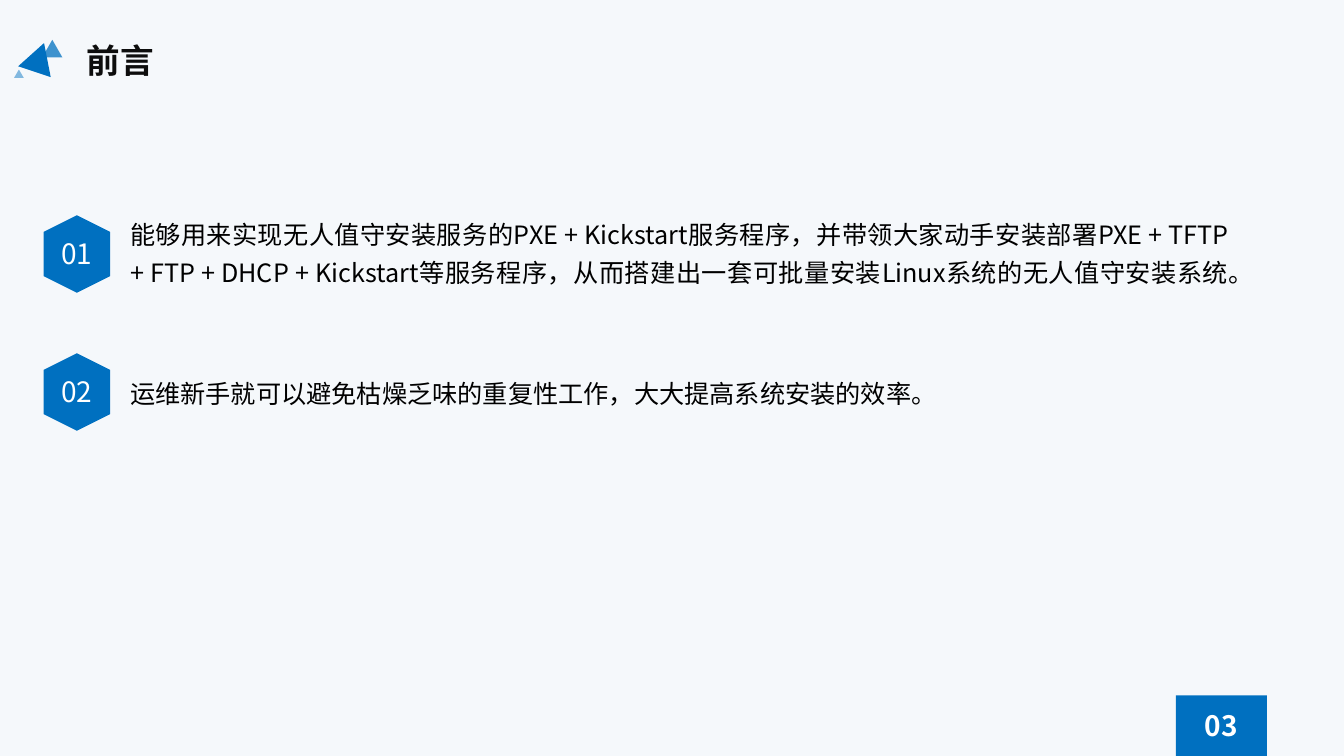
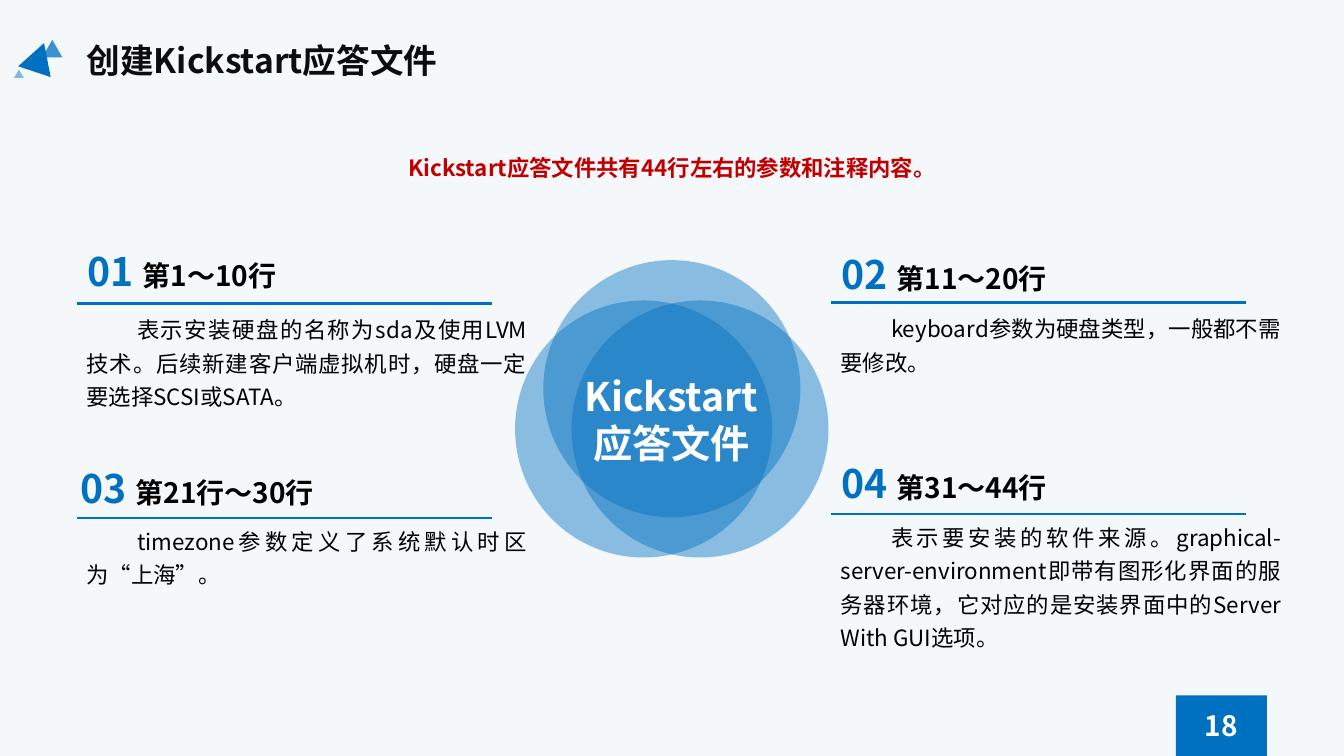
from dataclasses import dataclass

from lxml.etree import SubElement
from pptx import Presentation
from pptx.dml.color import RGBColor
from pptx.enum.shapes import MSO_CONNECTOR, MSO_SHAPE
from pptx.enum.text import MSO_ANCHOR, MSO_AUTO_SIZE, PP_ALIGN
from pptx.oxml.ns import qn
from pptx.util import Pt


@dataclass(frozen=True)
class Theme:
    font: str = "Noto Sans CJK SC"
    back: str = "F5F8FB"
    blue: str = "0070C0"
    ink: str = "0D0D0D"
    black: str = "000000"
    white: str = "FFFFFF"
    red: str = "C00000"
    title: int = 24
    large: int = 28
    label: int = 20
    list: int = 18
    text: int = 16


look = Theme()


def draw(slide, kind, at, alpha=100, turn=0):
    """Add a blue shape; alpha is its opacity in percent."""
    shape = slide.shapes.add_shape(kind, *map(Pt, at))
    shape.shadow.inherit = False
    shape.rotation = turn
    shape.fill.solid()
    shape.fill.fore_color.rgb = RGBColor.from_string(look.blue)
    shape.line.fill.background()
    if alpha < 100:
        tint = shape.element.spPr.find(".//" + qn("a:srgbClr"))
        SubElement(tint, qn("a:alpha"), val=str(alpha * 1000))
    return shape


def write(slide, at, *runs, box=None, size=look.text, color=look.black, bold=False,
          align=PP_ALIGN.LEFT, anchor=MSO_ANCHOR.TOP, lines=1.0, indent=0):
    """Fill box, or a new text box; a run is a text or (text, size, color)."""
    if box is None:
        box = slide.shapes.add_textbox(*map(Pt, at))
    box.left, box.top, box.width, box.height = map(Pt, at)
    frame = box.text_frame
    frame.word_wrap = True
    frame.auto_size = MSO_AUTO_SIZE.NONE
    frame.vertical_anchor = anchor
    para = frame.paragraphs[0]
    props = para._p.get_or_add_pPr()
    props.set("marL", "0")
    props.set("indent", str(Pt(indent)))
    SubElement(props, qn("a:buNone"))
    para.alignment = align
    para.line_spacing = lines
    para.space_before = Pt(0)
    for item in runs:
        words, points, tone = (item, size, color) if isinstance(item, str) else item
        run = para.add_run()
        run.text = words
        run.font.size = Pt(points)
        run.font.bold = bold
        run.font.color.rgb = RGBColor.from_string(tone)
        run.font.name = look.font
        SubElement(run._r.get_or_add_rPr(), qn("a:ea"), typeface=look.font)


deck = Presentation()
deck.slide_width, deck.slide_height = Pt(960), Pt(540)
fill = deck.slide_master.background.fill
fill.solid()
fill.fore_color.rgb = RGBColor.from_string(look.back)

# Shared frame: title, corner triangles and page badge
pages = [("Two Content", "前言", "03"),
         ("Comparison", "创建Kickstart应答文件", "18")]
marks = [((30.2, 28.4, 14.4, 12.6), 75, 0),
         ((15.8, 30.2, 24.5, 21.6), 100, 18.5),
         ((10, 49.7, 7, 6), 47, 0)]
badge = (840, 496.8, 65, 43.2)
slides = []
for layout, title, number in pages:
    slide = deck.slides.add_slide(deck.slide_layouts.get_by_name(layout))
    write(slide, (54.7, 25.2, 401, 36), title, box=slide.shapes.title,
          size=look.title, color=look.ink, bold=True)
    for at, alpha, turn in marks:
        draw(slide, MSO_SHAPE.ISOSCELES_TRIANGLE, at, alpha, turn)
    write(slide, badge, number, box=draw(slide, MSO_SHAPE.RECTANGLE, badge),
          size=look.label, color=look.white, bold=True,
          align=PP_ALIGN.CENTER, anchor=MSO_ANCHOR.MIDDLE)
    slides.append(slide)
intro, answer = slides

# Preface: numbered points
points = [
    (157.7, 147.6, 86.4, "能够用来实现无人值守安装服务的PXE + Kickstart服务程序，并带领大家动手安装部署"
     "PXE + TFTP + FTP + DHCP + Kickstart等服务程序，从而搭建出一套可批量安装Linux系统的"
     "无人值守安装系统。"),
    (256.3, 261.4, 32.4, "运维新手就可以避免枯燥乏味的重复性工作，大大提高系统安装的效率。"),
]
for rank, (top, y, high, words) in enumerate(points, 1):
    draw(intro, MSO_SHAPE.HEXAGON, (27.2, top, 55.4, 47.5), turn=90)
    write(intro, (32.5, top + 7.9, 44.6, 31.7), f"{rank:02}",
          size=look.label, color=look.white, align=PP_ALIGN.CENTER)
    write(intro, (85.7, y, 799.2, high), words, box=intro.placeholders[rank],
          size=look.list, align=PP_ALIGN.JUSTIFY, lines=1.25)

# Answer file: four blocks around the circles
left, right = 54.7, 593.3
blocks = [
    (left, 55.4, 172.8, 216.7, 217.4, 78, "第1～10行",
     "表示安装硬盘的名称为sda及使用LVM技术。后续新建客户端虚拟机时，硬盘一定要选择SCSI或SATA。"),
    (right, 594, 175, 216, 216.7, 53.3, "第11～20行",
     "keyboard参数为硬盘类型，一般都不需要修改。"),
    (left, 50.4, 328.3, 370, 368.6, 53.3, "第21行～30行",
     "timezone参数定义了系统默认时区为“上海”。"),
    (right, 594, 324.7, 367.2, 365.8, 102.2, "第31～44行",
     "表示要安装的软件来源。graphical-server-environment即带有图形化界面的服务器环境，"
     "它对应的是安装界面中的Server With GUI选项。"),
]
for rank, (x, start, top, rule, y, high, head, words) in enumerate(blocks, 1):
    line = answer.shapes.add_connector(
        MSO_CONNECTOR.STRAIGHT, *map(Pt, (x, rule, x + 296.6, rule)))
    line.line.width = Pt(1.75)
    line.line.color.rgb = RGBColor.from_string(look.blue)
    SubElement(line.element.spPr, qn("a:effectLst"))
    write(answer, (start, top, 236.2, 41), (f"{rank:02} ", look.large, look.blue), head,
          size=look.label, bold=True)
    write(answer, (x, y, 329, high), words, box=answer.placeholders[rank],
          align=PP_ALIGN.JUSTIFY, lines=1.25, indent=36)

for x, y in [(408.2, 214.6), (388.1, 185.8), (367.9, 214.6)]:
    draw(answer, MSO_SHAPE.OVAL, (x, y, 183.6, 183.6), alpha=44)
write(answer, (408.2, 262.1, 142.6, 74.9), "Kickstart应答文件",
      size=look.large, color=look.white, bold=True, align=PP_ALIGN.CENTER)
write(answer, (240, 106.6, 480, 26.6), "Kickstart应答文件共有44行左右的参数和注释内容。",
      color=look.red, bold=True, align=PP_ALIGN.CENTER)

deck.save("out.pptx")
